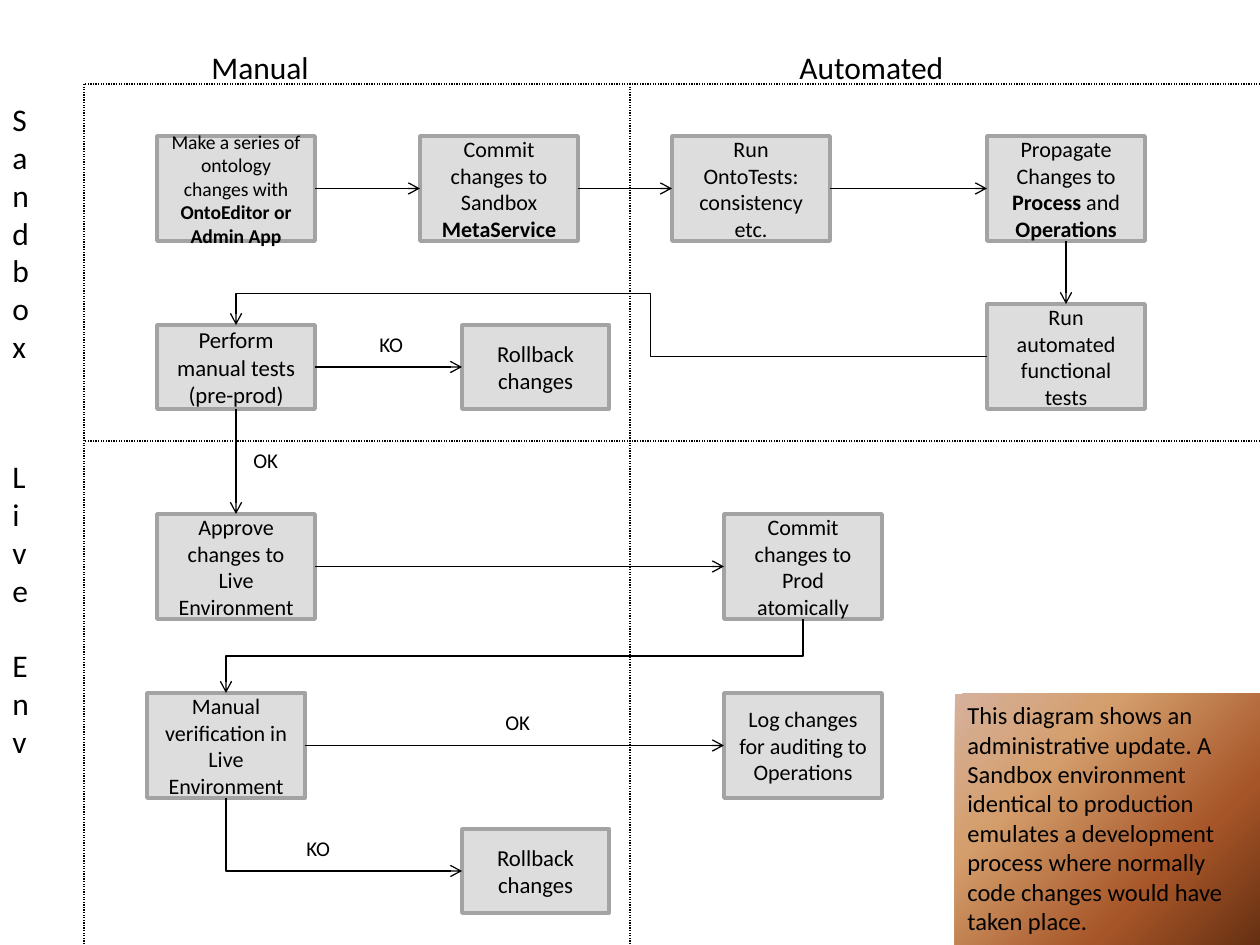
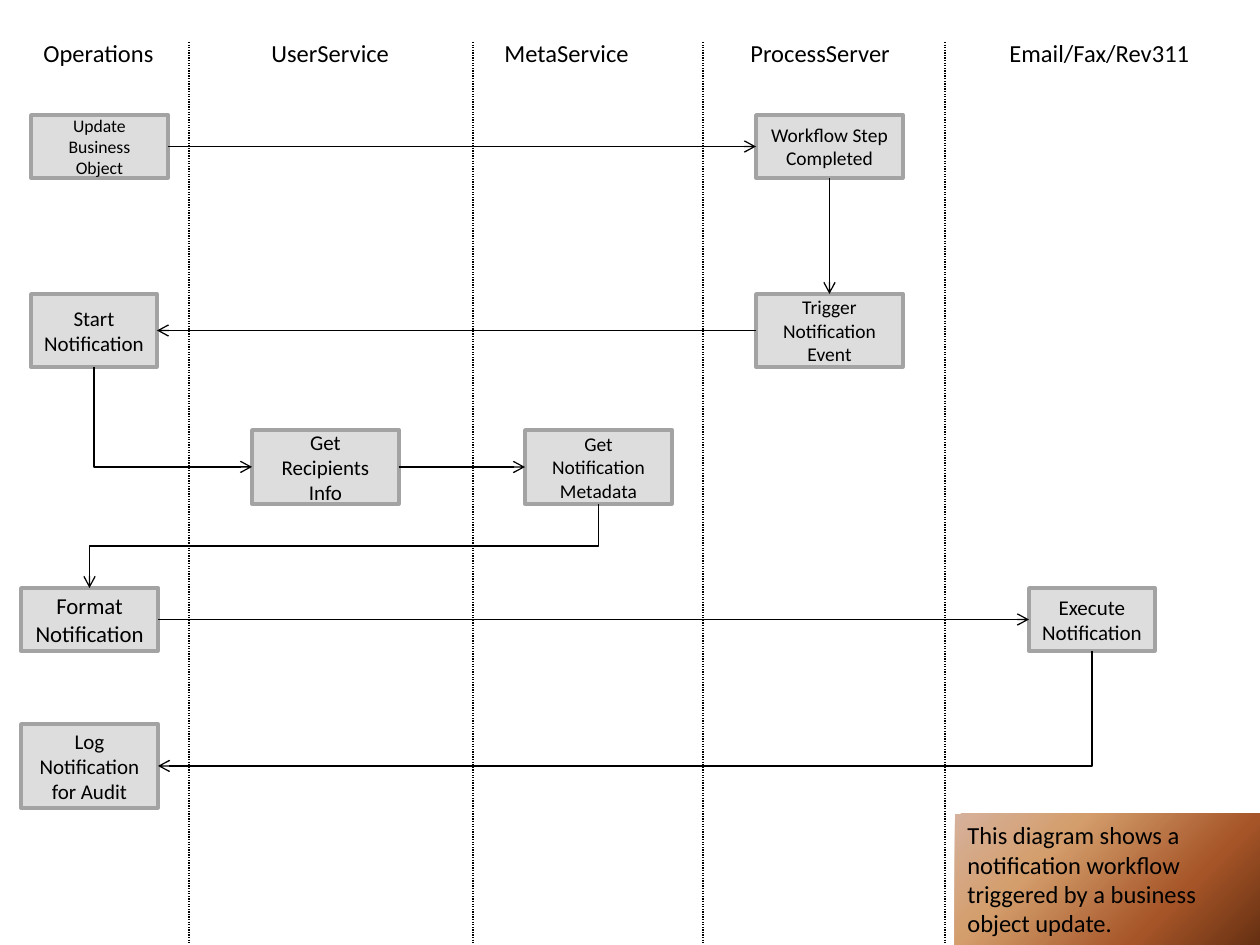
"""Build two workflow diagrams: an administrative update and a notification."""
from lxml.etree import SubElement
from pptx import Presentation
from pptx.dml.color import RGBColor
from pptx.enum.dml import MSO_LINE
from pptx.enum.shapes import MSO_CONNECTOR, MSO_SHAPE
from pptx.enum.text import MSO_ANCHOR, MSO_AUTO_SIZE, PP_ALIGN
from pptx.oxml.ns import qn
from pptx.util import Pt

PX = 914400 / 126
FONT = "Calibri"
COLORS = {"ink": "000000", "box": "DDDDDD", "edge": "A3A3A3"}
NOTE_STOPS = [(0, "D6B19C"), (30, "D49E6C"), (70, "A65528"), (100, "663012")]
TOP, LEFT, BOTTOM, RIGHT = range(4)

SLIDES = [
    {
        "boxes": {
            "edit": (157, 136, 158, 105, 11.2,
                     "Make a series of ontology changes with |OntoEditor or Admin App"),
            "sandbox": (420, 136, 158, 105, 12.6, "Commit changes to Sandbox |MetaService"),
            "tests": (672, 136, 158, 105, 12.6, "Run OntoTests: consistency etc."),
            "propagate": (987, 136, 158, 105, 12.6,
                          "Propagate Changes to |Process| and |Operations"),
            "functional": (987, 304, 158, 105, 12.6, "Run automated functional tests"),
            "manual": (157, 325, 158, 84, 13, "Perform manual tests (pre-prod)"),
            "rollback": (462, 325, 147, 84, 13, "Rollback changes"),
            "approve": (157, 514, 158, 105, 12.6, "Approve changes to Live Environment"),
            "prod": (724, 514, 158, 105, 12.6, "Commit changes to Prod atomically"),
            "verify": (147, 693, 158, 105, 12.6, "Manual verification in Live Environment"),
            "log": (724, 693, 158, 105, 12.6, "Log changes for auditing to Operations"),
            "live rollback": (462, 829, 147, 84, 13, "Rollback changes"),
        },
        "dividers": [(84, 84, 84, 945), (630, 84, 630, 945),
                     (1260, 84, 84, 84), (1260, 441, 84, 441)],
        "labels": [
            (0, 94, 71, 336, 18, "Sandbox", "wordArtVert"),
            (0, 451, 71, 399, 18, "Live Env", "wordArtVert"),
            (199, 42, 252, 53, 18, "Manual", "horz"),
            (787, 42, 242, 50, 18, "Automated", "horz"),
            (241, 441, 53, 38, 12, "OK", "horz"),
            (367, 325, 63, 38, 12, "KO", "horz"),
            (294, 829, 63, 38, 12, "KO", "horz"),
            (493, 703, 53, 38, 12, "OK", "horz"),
        ],
        "links": [
            ("edit", RIGHT, "sandbox", LEFT, "line"),
            ("sandbox", RIGHT, "tests", LEFT, "line"),
            ("tests", RIGHT, "propagate", LEFT, "line"),
            ("propagate", BOTTOM, "functional", TOP, "line"),
            ("functional", LEFT, "manual", TOP, "bentConnector4", 44800, 200000),
            ("manual", RIGHT, "rollback", LEFT, "line"),
            ("manual", BOTTOM, "approve", TOP, "line"),
            ("approve", RIGHT, "prod", LEFT, "line"),
            ("prod", BOTTOM, "verify", TOP, "bentConnector3", 50000),
            ("verify", RIGHT, "log", LEFT, "line"),
            ("verify", BOTTOM, "live rollback", LEFT, "bentConnector2"),
        ],
        "note": (955, 694, 305, 251, 14,
                 "This diagram shows an administrative update. A Sandbox environment "
                 "identical to production emulates a development process where "
                 "normally code changes would have taken place."),
    },
    {
        "boxes": {
            "update": (31, 115, 137, 63, 10.1, "Update Business Object"),
            "step": (756, 115, 147, 63, 11.1, "Workflow Step Completed"),
            "trigger": (756, 294, 147, 73, 11.1, "Trigger Notification Event"),
            "start": (31, 294, 126, 73, 12, "Start Notification"),
            "recipients": (252, 430, 147, 74, 12, "Get Recipients Info"),
            "metadata": (525, 430, 147, 74, 11.1, "Get Notification Metadata"),
            "format": (21, 588, 137, 63, 13, "Format Notification"),
            "execute": (1029, 588, 126, 63, 12, "Execute Notification"),
            "log": (21, 724, 137, 84, 12, "Log Notification for Audit"),
        },
        "dividers": [(x, 42, x, 945) for x in (189, 473, 703, 945)],
        "labels": [(x, 32, w, 43, 14, name, "horz") for x, w, name in (
            (31, 139, "Operations"), (259, 146, "UserService"), (492, 158, "MetaService"),
            (738, 170, "ProcessServer"), (997, 211, "Email/Fax/Rev311"))],
        "links": [
            ("update", RIGHT, "step", LEFT, "line"),
            ("step", BOTTOM, "trigger", TOP, "line"),
            ("trigger", LEFT, "start", RIGHT, "line"),
            ("start", BOTTOM, "recipients", LEFT, "bentConnector2"),
            ("recipients", RIGHT, "metadata", LEFT, "line"),
            ("metadata", BOTTOM, "format", TOP, "bentConnector3", 50000),
            ("format", RIGHT, "execute", LEFT, "line"),
            ("execute", BOTTOM, "log", RIGHT, "bentConnector2"),
        ],
        "note": (955, 814, 305, 131, 14,
                 "This diagram shows a notification workflow triggered by a "
                 "business object update."),
    },
]


def write(sp, size, text, align=PP_ALIGN.LEFT):
    tf = sp.text_frame
    tf.word_wrap = True
    p = tf.paragraphs[0]
    p.alignment = align
    for i, part in enumerate(text.split("|")):
        r = p.add_run()
        r.text = part
        r.font.name = FONT
        r.font.size = Pt(size)
        r.font.bold = i % 2 == 1
        r.font.color.rgb = RGBColor.from_string(COLORS["ink"])
    return tf


def add_line(s, *ends):
    c = s.shapes.add_connector(MSO_CONNECTOR.STRAIGHT, *(round(v * PX) for v in ends))
    c.line.color.rgb = RGBColor.from_string(COLORS["ink"])
    c.line.width = Pt(0.75)
    SubElement(c.element.spPr, qn("a:effectLst"))
    return c


prs = Presentation()
prs.slide_width = round(1260 * PX)
prs.slide_height = round(945 * PX)

for content in SLIDES:
    s = prs.slides.add_slide(prs.slide_layouts[6])

    boxes = {}
    for key, (*at, size, text) in content["boxes"].items():
        sp = s.shapes.add_shape(MSO_SHAPE.RECTANGLE, *(round(v * PX) for v in at))
        sp.shadow.inherit = False
        sp.fill.solid()
        sp.fill.fore_color.rgb = RGBColor.from_string(COLORS["box"])
        sp.line.color.rgb = RGBColor.from_string(COLORS["edge"])
        sp.line.width = Pt(2)
        tf = write(sp, size, text, PP_ALIGN.CENTER)
        tf.vertical_anchor = MSO_ANCHOR.MIDDLE
        boxes[key] = sp

    for ends in content["dividers"]:
        add_line(s, *ends).line.dash_style = MSO_LINE.ROUND_DOT

    for *at, size, text, direction in content["labels"]:
        sp = s.shapes.add_textbox(*(round(v * PX) for v in at))
        tf = write(sp, size, text)
        tf.auto_size = MSO_AUTO_SIZE.SHAPE_TO_FIT_TEXT
        sp.element.txBody.find(qn("a:bodyPr")).set("vert", direction)

    for start, start_site, end, end_site, preset, *bends in content["links"]:
        c = add_line(s, 0, 0, 0, 0)
        c.begin_connect(boxes[start], start_site)
        c.end_connect(boxes[end], end_site)
        spPr = c.element.spPr
        SubElement(spPr.find(qn("a:ln")), qn("a:tailEnd"), type="arrow")
        if preset == "line":
            continue
        x1, y1, x2, y2 = c.begin_x, c.begin_y, c.end_x, c.end_y
        w, h = abs(x2 - x1), abs(y2 - y1)
        turned = start_site == BOTTOM
        if turned:
            w, h = h, w
        c.left, c.top = (x1 + x2 - w) // 2, (y1 + y2 - h) // 2
        c.width, c.height = w, h
        xfrm = spPr.find(qn("a:xfrm"))
        for flip in ("flipH", "flipV"):
            xfrm.attrib.pop(flip, None)
        angle = 180
        if turned:
            angle = 90 if x2 < x1 else 270
        xfrm.set("rot", str(angle * 60000))
        if angle == 270:
            xfrm.set("flipH", "1")
        geom = spPr.find(qn("a:prstGeom"))
        geom.set("prst", preset)
        for i, bend in enumerate(bends, 1):
            SubElement(geom.find(qn("a:avLst")), qn("a:gd"), name=f"adj{i}", fmla=f"val {bend}")

    *at, size, text = content["note"]
    sp = s.shapes.add_textbox(*(round(v * PX) for v in at))
    tf = write(sp, size, text)
    tf.auto_size = MSO_AUTO_SIZE.SHAPE_TO_FIT_TEXT
    sp.fill.gradient()
    grad = sp.element.spPr.find(qn("a:gradFill"))
    stops = grad.find(qn("a:gsLst"))
    for stop in list(stops):
        stops.remove(stop)
    for pos, color in NOTE_STOPS:
        stop = SubElement(stops, qn("a:gs"), pos=str(pos * 1000))
        SubElement(stop, qn("a:srgbClr"), val=color)
    grad.find(qn("a:lin")).set("ang", str(45 * 60000))

prs.save("out.pptx")
